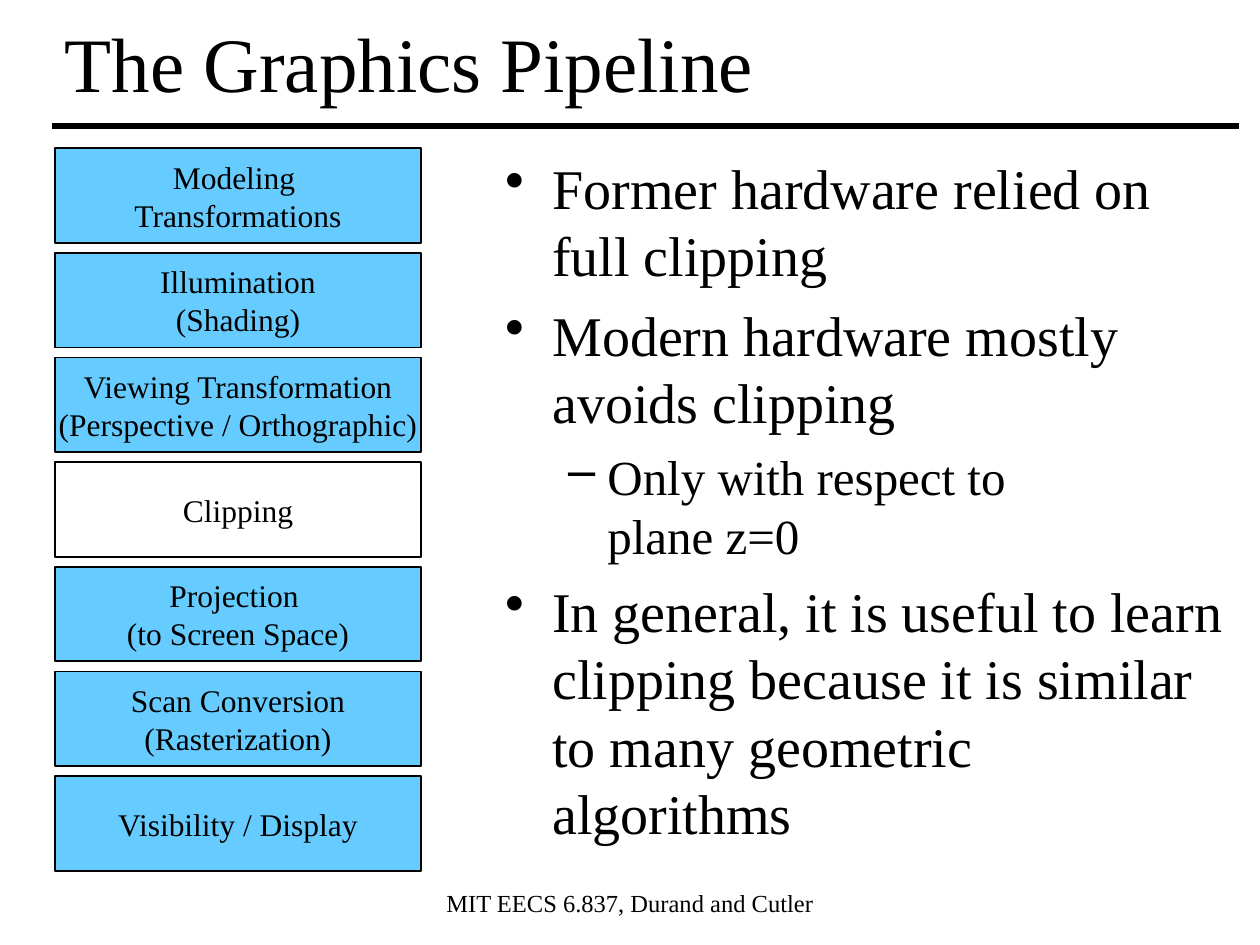
from lxml.etree import SubElement
from pptx import Presentation
from pptx.dml.color import RGBColor
from pptx.enum.shapes import MSO_CONNECTOR as Connector, MSO_SHAPE as Shape
from pptx.enum.text import MSO_ANCHOR as Anchor, PP_ALIGN as Align
from pptx.oxml.ns import qn
from pptx.util import Pt

BLACK = RGBColor(0x00, 0x00, 0x00)
WHITE = RGBColor(0xFF, 0xFF, 0xFF)
SKY = RGBColor(0x66, 0xCC, 0xFF)


def set_font(para, size):
    para.font.name = "Times New Roman"
    para.font.size = Pt(size)
    para.font.color.rgb = BLACK


def add_text_box(left, top, width, height):
    frame = slide.shapes.add_textbox(Pt(left), Pt(top), Pt(width), Pt(height)).text_frame
    frame.word_wrap = True
    return frame


deck = Presentation()
deck.slide_width, deck.slide_height = Pt(720), Pt(540)
slide = deck.slides.add_slide(deck.slide_layouts[6])

# Footer
footer = add_text_box(246, 504, 228, 41).paragraphs[0]
footer.text = "MIT EECS 6.837, Durand and Cutler"
footer.alignment = Align.CENTER
set_font(footer, 14)

# Title with the rule below it
title_frame = add_text_box(30, 0, 678, 71)
title_frame.vertical_anchor = Anchor.MIDDLE
title = title_frame.paragraphs[0]
title.text = "The Graphics Pipeline"
set_font(title, 44)

rule = slide.shapes.add_connector(Connector.STRAIGHT, Pt(30), Pt(72), Pt(708), Pt(72))
rule.line.color.rgb = BLACK
rule.line.width = Pt(3)
SubElement(rule.element.spPr, qn("a:effectLst"))

# Bullets: level and text
bullets = [
    (0, "Former hardware relied on full clipping"),
    (0, "Modern hardware mostly avoids clipping"),
    (1, "Only with respect to \vplane z=0"),
    (0, "In general, it is useful to learn clipping because it is similar "
        "to many geometric algorithms"),
]
# Mark, left margin, hanging indent, text size and space before, by level
levels = [("•", 27, 27, 32, 7.4), ("–", 58.5, 22.5, 28, 6.4)]
body = add_text_box(281.5, 84, 425.5, 413)
for index, (level, text) in enumerate(bullets):
    mark, margin, hang, size, space = levels[level]
    para = body.add_paragraph() if index else body.paragraphs[0]
    para.text = text
    para.level = level
    if index:
        para.space_before = Pt(space)
    properties = para._p.get_or_add_pPr()
    properties.set("marL", str(Pt(margin)))
    properties.set("indent", str(-Pt(hang)))
    SubElement(properties, qn("a:buChar"), char=mark)
    set_font(para, size)

# Pipeline stages, top to bottom
stages = [
    "Modeling \vTransformations",
    "Illumination\n(Shading)",
    "Viewing Transformation\n(Perspective / Orthographic)",
    "Clipping",
    "Projection \v(to Screen Space)",
    "Scan Conversion\v(Rasterization)",
    "Visibility / Display",
]
for index, stage in enumerate(stages):
    box = slide.shapes.add_shape(
        Shape.RECTANGLE, Pt(31.5), Pt(84.75 + 59.8 * index), Pt(209), Pt(54))
    box.shadow.inherit = False
    box.fill.solid()
    box.fill.fore_color.rgb = WHITE if stage == "Clipping" else SKY
    box.line.color.rgb = BLACK
    box.line.width = Pt(1)
    frame = box.text_frame
    frame.word_wrap = False
    frame.vertical_anchor = Anchor.MIDDLE
    frame.text = stage
    for para in frame.paragraphs:
        para.alignment = Align.CENTER
        set_font(para, 18)

deck.save("out.pptx")
